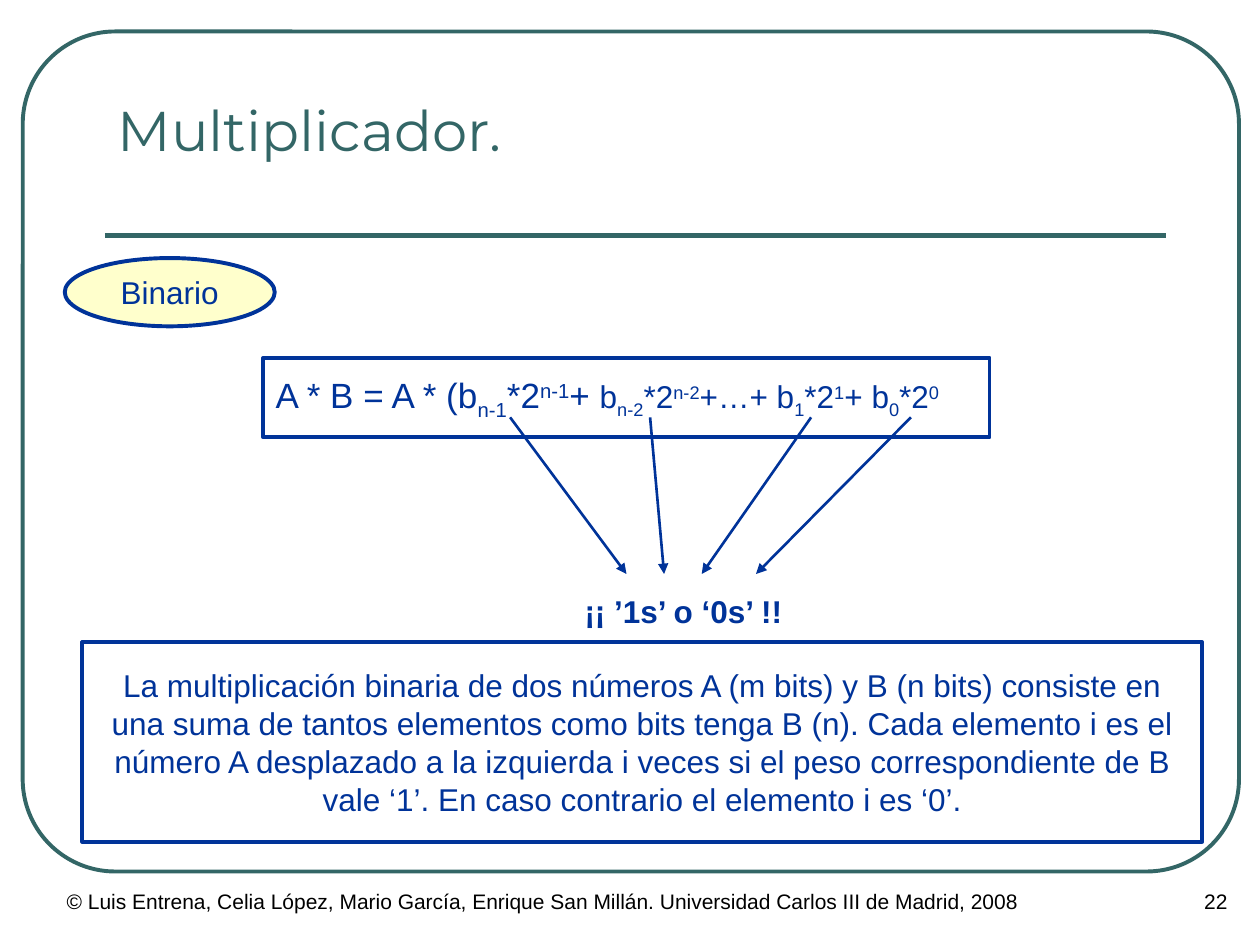
from dataclasses import dataclass

from lxml import etree
from pptx import Presentation
from pptx.dml.color import RGBColor
from pptx.enum.shapes import MSO_CONNECTOR, MSO_SHAPE
from pptx.enum.text import MSO_ANCHOR, PP_ALIGN
from pptx.oxml.ns import qn
from pptx.util import Pt

LEFT, CENTER, RIGHT = PP_ALIGN.LEFT, PP_ALIGN.CENTER, PP_ALIGN.RIGHT
TOP, MIDDLE, BOTTOM = MSO_ANCHOR.TOP, MSO_ANCHOR.MIDDLE, MSO_ANCHOR.BOTTOM
RECT, OVAL, ROUND = MSO_SHAPE.RECTANGLE, MSO_SHAPE.OVAL, MSO_SHAPE.ROUNDED_RECTANGLE
STRAIGHT = MSO_CONNECTOR.STRAIGHT


@dataclass(frozen=True)
class Theme:
    green: str = "336666"
    blue: str = "003399"
    cream: str = "FFFFCC"
    white: str = "FFFFFF"
    black: str = "000000"
    head: str = "Montserrat"
    body: str = "Arial"
    title: int = 32
    large: int = 20
    text: int = 18
    small: int = 12
    edge: float = 2.25


def color(code):
    return RGBColor.from_string(code)


class Deck:
    def __init__(self, theme):
        self.theme = theme
        self.file = Presentation()
        self.file.slide_width, self.file.slide_height = Pt(720), Pt(540)
        self.slide = self.file.slides.add_slide(self.file.slide_layouts[5])

    def style(self, run, size, ink, font=None, bold=False):
        run.font.name = font or self.theme.body
        run.font.size = Pt(size)
        run.font.color.rgb = color(ink)
        run.font.bold = bold

    def text(self, shape, text, size, ink, align=LEFT, anchor=MIDDLE, font=None, bold=False):
        frame = shape.text_frame
        frame.text = text
        frame.word_wrap = True
        frame.vertical_anchor = anchor
        line = frame.paragraphs[0]
        line.alignment = align
        for run in line.runs:
            self.style(run, size, ink, font, bold)

    def title(self, box, text):
        shape = self.slide.shapes.title
        shape.left, shape.top, shape.width, shape.height = map(Pt, box)
        self.text(shape, text, self.theme.title, self.theme.green, LEFT, BOTTOM, self.theme.head)
        shape.text_frame.margin_bottom = Pt(39)

    def label(self, box, text, size, ink, **look):
        shape = self.slide.shapes.add_textbox(*map(Pt, box))
        self.text(shape, text, size, ink, **look)

    def shape(self, kind, box, ink, fill=None):
        shape = self.slide.shapes.add_shape(kind, *map(Pt, box))
        shape.shadow.inherit = False
        if fill:
            shape.fill.solid()
            shape.fill.fore_color.rgb = color(fill)
        else:
            shape.fill.background()
        shape.line.color.rgb = color(ink)
        shape.line.width = Pt(self.theme.edge)
        return shape

    def line(self, start, end, ink, width, arrow=False):
        link = self.slide.shapes.add_connector(STRAIGHT, *map(Pt, start + end))
        link.line.color.rgb = color(ink)
        link.line.width = Pt(width)
        props = link._element.spPr
        etree.SubElement(props, qn("a:effectLst"))
        if arrow:
            etree.SubElement(props.find(qn("a:ln")), qn("a:tailEnd"), type="triangle")

    def formula(self, shape, terms):
        """Set each term as lead, subscript index, "*2", superscript index."""
        self.text(shape, "", self.theme.text, self.theme.blue)
        line = shape.text_frame.paragraphs[0]
        for lead, index, size in terms:
            parts = [(lead, 0)]
            if index:
                parts += [(index, -25), ("*2", 0), (index, 30)]
            for text, shift in parts:
                run = line.add_run()
                run.text = text
                self.style(run, size, self.theme.blue)
                if shift:
                    run.font._element.set("baseline", str(shift * 1000))


def main():
    theme = Theme()
    deck = Deck(theme)

    frame = deck.shape(ROUND, (13, 18, 695, 480), theme.green)
    frame.adjustments[0] = 0.11
    deck.line((60, 134.6), (666, 134.6), theme.green, 3)
    deck.label((31, 504, 612, 36),
               "© Luis Entrena, Celia López, Mario García, Enrique San Millán. "
               "Universidad Carlos III de Madrid, 2008",
               theme.small, theme.black, anchor=TOP)
    deck.label((643.5, 504, 65, 36), "22", theme.small, theme.black, align=RIGHT, anchor=TOP)
    deck.title((60, 42, 606, 90), "Multiplicador.")

    badge = deck.shape(OVAL, (37, 147.5, 120, 39), theme.blue, theme.cream)
    deck.text(badge, "Binario", theme.text, theme.blue, CENTER)

    product = deck.shape(RECT, (150.5, 204.5, 415, 45.5), theme.blue, theme.white)
    deck.formula(product, [
        ("A * B = A * (b", "n-1", theme.large),
        ("+ ", "", theme.large),
        ("b", "n-2", theme.text),
        ("+…+ b", "1", theme.text),
        ("+ b", "0", theme.text),
    ])

    for start, end in ((291.5, 358), (371.5, 379.5), (463.5, 401), (520.5, 432)):
        deck.line((start, 238.5), (end, 328), theme.blue, 1.5, arrow=True)

    deck.label((319, 322.5, 143, 53), "¡¡ ’1s’ o ‘0s’ !!", theme.text, theme.blue,
               align=CENTER, bold=True)
    note = deck.shape(RECT, (47, 367, 640, 114), theme.blue)
    deck.text(note,
              "La multiplicación binaria de dos números A (m bits) y B (n bits) consiste en "
              "una suma de tantos elementos como bits tenga B (n). Cada elemento i es el "
              "número A desplazado a la izquierda i veces si el peso correspondiente de B "
              "vale ‘1’. En caso contrario el elemento i es ‘0’.",
              theme.text, theme.blue, CENTER)

    deck.file.save("out.pptx")


if __name__ == "__main__":
    main()
